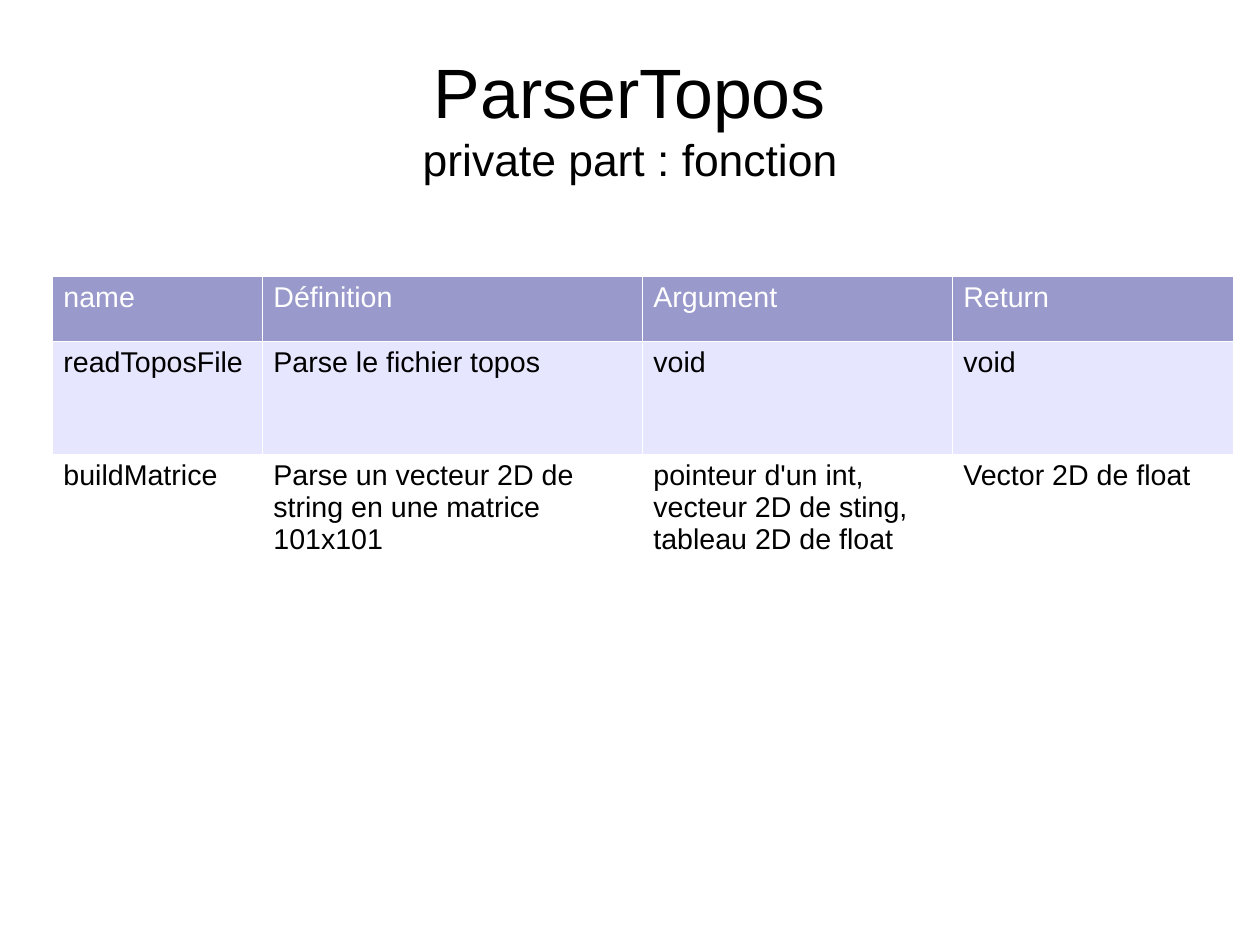
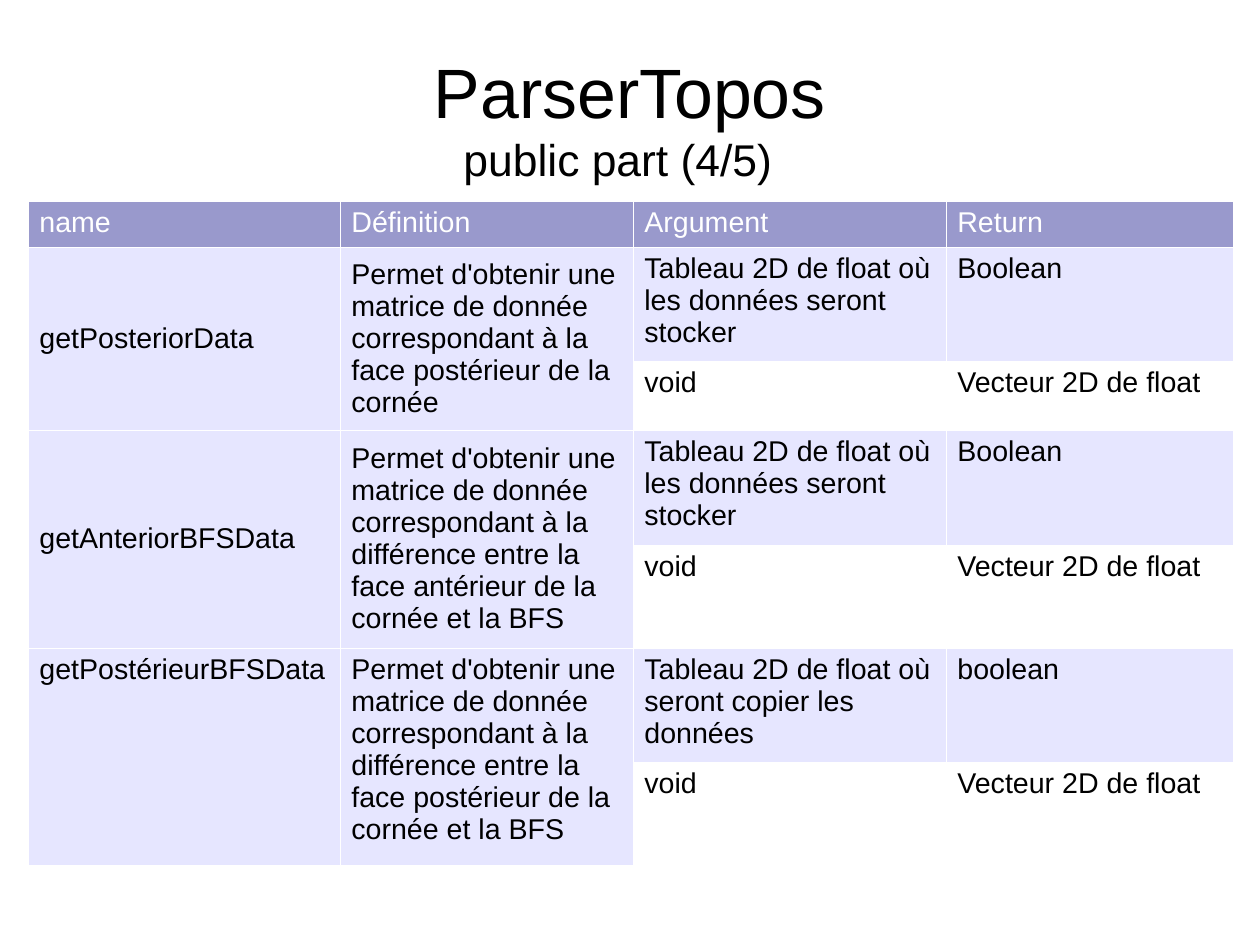
from dataclasses import dataclass

from lxml.etree import SubElement
from pptx import Presentation
from pptx.dml.color import RGBColor as RGB
from pptx.enum.text import MSO_ANCHOR as Anchor, PP_ALIGN as Align
from pptx.oxml.ns import qn
from pptx.util import Emu, Pt

PX = 8000  # EMU per px


@dataclass(frozen=True)
class Theme:
    font: str = "Arial"
    ink: RGB = RGB(0x00, 0x00, 0x00)
    paper: RGB = RGB(0xFF, 0xFF, 0xFF)
    header: RGB = RGB(0x99, 0x99, 0xCC)
    band: RGB = RGB(0xE6, 0xE6, 0xFF)
    title_size: int = 44
    subtitle_size: int = 28
    cell_size: int = 18
    border: int = 762  # EMU


THEME = Theme()
SLIDE_SIZE = (1260, 945)
TITLE_BOX = (63, 38, 1134, 158)
TITLE = "ParserTopos"
HEADINGS = ("name", "Définition", "Argument", "Return")

# Content: None continues the cell above; "centred" lists rows whose merged cells sit mid-height
SLIDES = [
    {
        "subtitle": "private part : fonction",
        "origin": (52, 276),
        "columns": (210, 380, 310, 281),
        "row_heights": (65, 113, 113),
        "centred": (),
        "functions": [
            ("readToposFile", "Parse le fichier topos", "void", "void"),
            ("buildMatrice", "Parse un vecteur 2D de string en une matrice 101x101",
             "pointeur d'un int,\nvecteur 2D de sting,\ntableau 2D de float",
             "Vector 2D de float"),
        ],
    },
    {
        "subtitle": "public part (4/5)  ",
        "origin": (28, 201),
        "columns": (312, 293, 313, 287),
        "row_heights": (46, 114, 69, 114, 103, 114, 103),
        "centred": (1, 3),
        "functions": [
            ("getPosteriorData",
             "Permet d'obtenir une matrice de donnée correspondant à la "
             "face postérieur de la cornée",
             "Tableau 2D de float où les données seront stocker", "Boolean"),
            (None, None, "void", "Vecteur 2D de float"),
            ("getAnteriorBFSData",
             "Permet d'obtenir une matrice de donnée correspondant à la "
             "différence entre la face antérieur de la cornée et la BFS",
             "Tableau 2D de float où les données seront stocker", "Boolean"),
            (None, None, "void", "Vecteur 2D de float"),
            ("getPostérieurBFSData",
             "Permet d'obtenir une matrice de donnée correspondant à la "
             "différence entre la face postérieur de la cornée et la BFS",
             "Tableau 2D de float où seront copier les données", "boolean"),
            (None, None, "void", "Vecteur 2D de float"),
        ],
    },
]


def px(*lengths):
    return [Emu(length * PX) for length in lengths]


def add_title(slide, subtitle):
    frame = slide.shapes.add_textbox(*px(*TITLE_BOX)).text_frame
    frame.word_wrap = True
    frame.vertical_anchor = Anchor.MIDDLE
    frame.margin_left = frame.margin_right = frame.margin_top = frame.margin_bottom = 0
    heading = frame.paragraphs[0]
    heading.alignment = Align.CENTER
    heading.font.name = THEME.font
    heading.font.color.rgb = THEME.ink
    name = heading.add_run()
    name.text = TITLE
    name.font.size = Pt(THEME.title_size)
    heading.add_line_break()
    part = heading.add_run()
    part.text = subtitle
    part.font.size = Pt(THEME.subtitle_size)


def add_borders(cell):
    properties = cell._tc.get_or_add_tcPr()
    for position, side in enumerate(("a:lnL", "a:lnR", "a:lnT", "a:lnB")):
        line = SubElement(properties, qn(side), w=str(THEME.border))
        fill = SubElement(line, qn("a:solidFill"))
        SubElement(fill, qn("a:srgbClr"), val=str(THEME.paper))
        properties.insert(position, line)


def style_cell(cell, row):
    cell.fill.solid()
    cell.fill.fore_color.rgb = (
        THEME.header if row == 0 else THEME.band if row % 2 else THEME.paper)
    add_borders(cell)
    for paragraph in cell.text_frame.paragraphs:
        paragraph.font.name = THEME.font
        paragraph.font.size = Pt(THEME.cell_size)
        paragraph.font.color.rgb = THEME.ink if row else THEME.paper


def add_functions(slide, content):
    rows = [HEADINGS, *content["functions"]]
    widths, heights = px(*content["columns"]), px(*content["row_heights"])
    table = slide.shapes.add_table(
        len(rows), len(HEADINGS), *px(*content["origin"]), sum(widths), sum(heights)).table
    table.first_row = table.horz_banding = False
    for column, width in zip(table.columns, widths):
        column.width = width
    for table_row, height in zip(table.rows, heights):
        table_row.height = height

    for r, values in enumerate(rows):
        for c, value in enumerate(values):
            cell = table.cell(r, c)
            if value is None:
                upper = table.cell(r - 1, c)
                upper.merge(cell)
                if r - 1 in content["centred"]:
                    upper.vertical_anchor = Anchor.MIDDLE
            else:
                cell.text = value
            style_cell(cell, r)


def main():
    deck = Presentation()
    deck.slide_width, deck.slide_height = px(*SLIDE_SIZE)
    for content in SLIDES:
        slide = deck.slides.add_slide(deck.slide_layouts[6])
        add_title(slide, content["subtitle"])
        add_functions(slide, content)
    deck.save("out.pptx")


if __name__ == "__main__":
    main()
